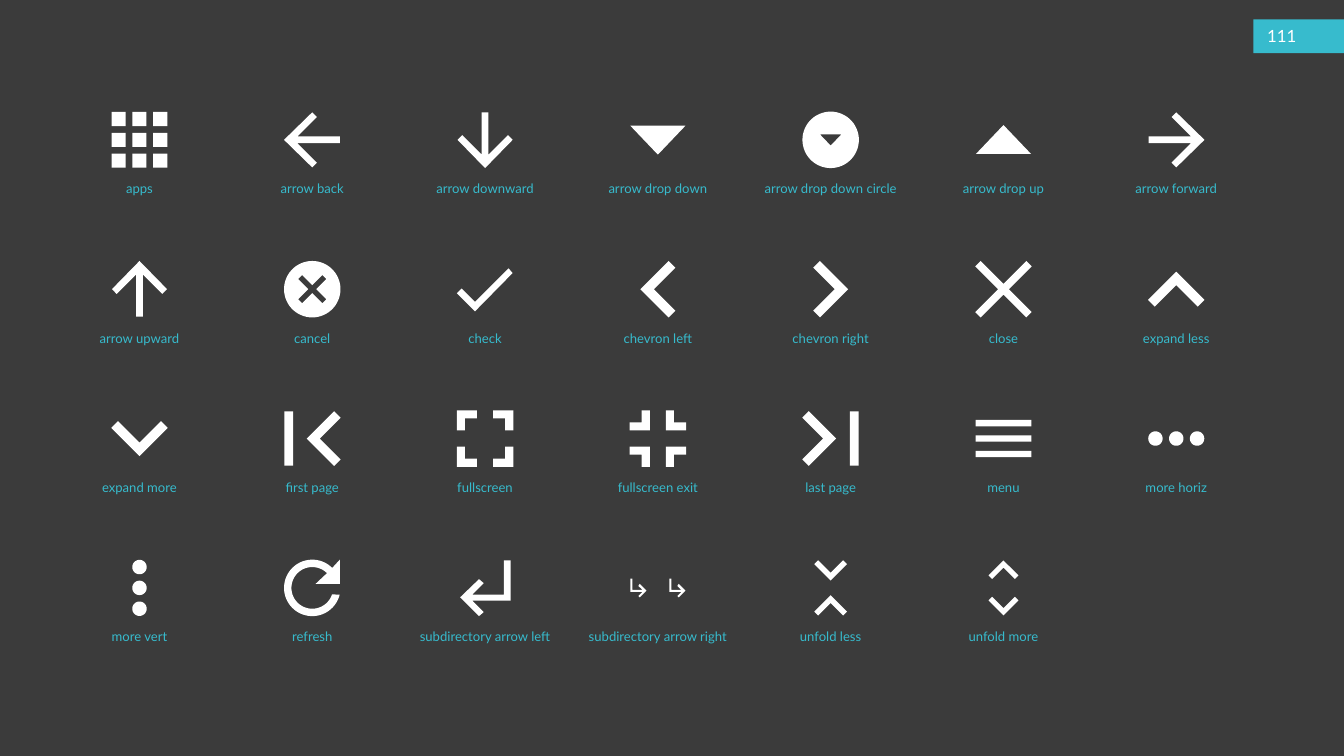
from math import cos, radians, sin

from pptx import Presentation
from pptx.dml.color import RGBColor
from pptx.enum.shapes import MSO_SHAPE
from pptx.enum.text import MSO_ANCHOR, MSO_AUTO_SIZE, PP_ALIGN
from pptx.util import Inches, Pt

RECT = MSO_SHAPE.RECTANGLE
MIDDLE = MSO_ANCHOR.MIDDLE
GROW = MSO_AUTO_SIZE.SHAPE_TO_FIT_TEXT
LEFT, CENTER = PP_ALIGN.LEFT, PP_ALIGN.CENTER

COLORS = {"back": "3B3B3B", "teal": "37BBCD", "white": "FFFFFF"}
FONT = "Lato"
WIDE, HIGH = 20, 11.25
COLS, ROWS = 7, 4
GRID = (0.79, 0.97, 18, 8.89)
FINE = 100


def turn(path, count):
    """Turn a path clockwise by quarter turns."""
    for _ in range(count):
        path = [(-y, x) for x, y in path]
    return path


def move(path, dx, dy, size=1):
    """Scale a path, then shift it."""
    return [(x * size + dx, y * size + dy) for x, y in path]


def spin(path):
    """Return a path in all four quarter turns."""
    return [turn(path, count) for count in range(4)]


def bar(x, y, wide, high):
    """Return a rectangle centred on a point."""
    dx, dy = wide / 2, high / 2
    return [(x - dx, y - dy), (x + dx, y - dy), (x + dx, y + dy), (x - dx, y + dy)]


def arc(radius, start, end, steps=60):
    """Return points along an arc, with angles in degrees."""
    angles = [radians(start + (end - start) * i / steps) for i in range(steps + 1)]
    return [(radius * cos(a), radius * sin(a)) for a in angles]


def cross(near, far):
    """Return a diagonal cross."""
    return sum(spin([(0, near - far), (near, -far), (far, -near)]), [])


ARROW = [(0, -41), (-7, -34), (22, -5), (-41, -5), (-41, 5), (22, 5),
         (-7, 34), (0, 41), (42, 0)]
CHEVRON = [(-16, -42), (-26, -32), (6, 0), (-26, 32), (-16, 42), (26, 0)]
DROP = [(-41, -21), (0, 22), (41, -21)]
DISC = arc(42, 0, 360)
CHECK = [(-15, 19), (-35, -1), (-42, 6), (-15, 33), (41, -24), (35, -31)]
OUTER = [(-42, -42), (-12, -42), (-12, -30), (-30, -30), (-30, -12), (-42, -12)]
INNER = [(-24, -24), (-42, -24), (-42, -12), (-12, -12), (-12, -42), (-24, -42)]
RETURN = [(-9, -13), (-2, -7), (-19, 10), (28, 10), (28, -41), (38, -41),
          (38, 19), (-19, 19), (-2, 36), (-9, 42), (-37, 14)]
HOOK = [(-17, 4), (-27, 14), (-29, 12), (-23, 6), (-41, 6), (-41, -14),
        (-38, -14), (-38, 3), (-23, 3), (-29, -3), (-27, -6)]
REFRESH = (arc(42, -45, -346) + arc(31, -342, -45)
           + [(5, -6), (41, -6), (41, -42)])
LAST = [move(CHEVRON, -17, 0, 0.97), bar(35, 0, 13, 81)]
STEPS = (-31, 0, 31)
DOTS = [move(arc(10.7, 0, 360), x, 0) for x in STEPS]

ICONS = {
    "apps": [bar(x, y, 21, 21) for x in STEPS for y in STEPS],
    "arrow back": [turn(ARROW, 2)],
    "arrow downward": [turn(ARROW, 1)],
    "arrow drop down": [DROP],
    "arrow drop down circle": [DISC, move(DROP, 0, 0, 0.39)],
    "arrow drop up": [turn(DROP, 2)],
    "arrow forward": [ARROW],
    "arrow upward": [turn(ARROW, 3)],
    "cancel": [DISC, cross(15, 21)],
    "check": [CHECK],
    "chevron left": [turn(CHEVRON, 2)],
    "chevron right": [CHEVRON],
    "close": [cross(34, 42)],
    "expand less": [turn(CHEVRON, 3)],
    "expand more": [turn(CHEVRON, 1)],
    "first page": [turn(path, 2) for path in LAST],
    "fullscreen": spin(OUTER),
    "fullscreen exit": spin(INNER),
    "last page": LAST,
    "menu": [bar(0, y, 83, 9.5) for y in (-23, 0, 23)],
    "more horiz": DOTS,
    "more vert": [turn(dot, 1) for dot in DOTS],
    "refresh": [REFRESH],
    "subdirectory arrow left": [RETURN],
    "subdirectory arrow right": [HOOK, move(HOOK, 58, 0)],
    "unfold less": [move(turn(CHEVRON, 1), 0, -26, 0.58),
                    move(turn(CHEVRON, 3), 0, 26, 0.58)],
    "unfold more": [move(turn(CHEVRON, 3), 0, -27, 0.53),
                    move(turn(CHEVRON, 1), 0, 27, 0.53)],
}


def paint(shape, color):
    """Give a shape a flat fill without line or shadow."""
    shape.shadow.inherit = False
    shape.fill.solid()
    shape.fill.fore_color.rgb = RGBColor.from_string(COLORS[color])
    shape.line.fill.background()


def write(slide, box, text, size, color, align):
    """Add one line of text in a box and return its frame."""
    frame = slide.shapes.add_textbox(*map(Inches, box)).text_frame
    frame.word_wrap = True
    line = frame.paragraphs[0]
    line.text = text
    line.alignment = align
    line.font.name = FONT
    line.font.size = Pt(size)
    line.font.color.rgb = RGBColor.from_string(COLORS[color])
    return frame


def draw(slide, x, y, paths):
    """Draw an icon around a centre, from paths in hundredths of an inch."""
    first, *rest = [[(round(px * FINE), round(py * FINE)) for px, py in path]
                    for path in paths]
    pen = slide.shapes.build_freeform(*first[0], scale=Inches(0.01) / FINE)
    pen.add_line_segments(first[1:], close=True)
    for path in rest:
        pen.move_to(*path[0])
        pen.add_line_segments(path[1:], close=True)
    paint(pen.convert_to_shape(Inches(x), Inches(y)), "white")


def cell(slide, box, name, paths):
    """Place an icon and its label in a cell."""
    x, y, w, h = box
    draw(slide, x + w / 2, y + h / 2, paths)
    label = (x - 0.04 * w, y + 0.752 * h, 1.08 * w, 0.153 * h)
    write(slide, label, name, 14, "teal", CENTER).auto_size = GROW


def grid(slide, box):
    """Lay the icons out in rows."""
    x, y, w, h = box
    w, h = w / COLS, h / ROWS
    for i, (name, paths) in enumerate(ICONS.items()):
        row, col = divmod(i, COLS)
        cell(slide, (x + col * w, y + row * h, w, h), name, paths)


def badge(slide, box, number):
    """Place the page number on its tab."""
    x, y, w, h = box
    paint(slide.shapes.add_shape(RECT, *map(Inches, box)), "teal")
    frame = write(slide, (x + 0.08 * w, y, w / 2, h), number, 18, "white", LEFT)
    frame.vertical_anchor = MIDDLE


def main():
    """Build the slide and save it."""
    deck = Presentation()
    deck.slide_width, deck.slide_height = Inches(WIDE), Inches(HIGH)
    slide = deck.slides.add_slide(deck.slide_layouts[6])
    slide.background.fill.solid()
    slide.background.fill.fore_color.rgb = RGBColor.from_string(COLORS["back"])
    badge(slide, (18.65, 0.29, 1.35, 0.5), "111")
    grid(slide, GRID)
    deck.save("out.pptx")


if __name__ == "__main__":
    main()
